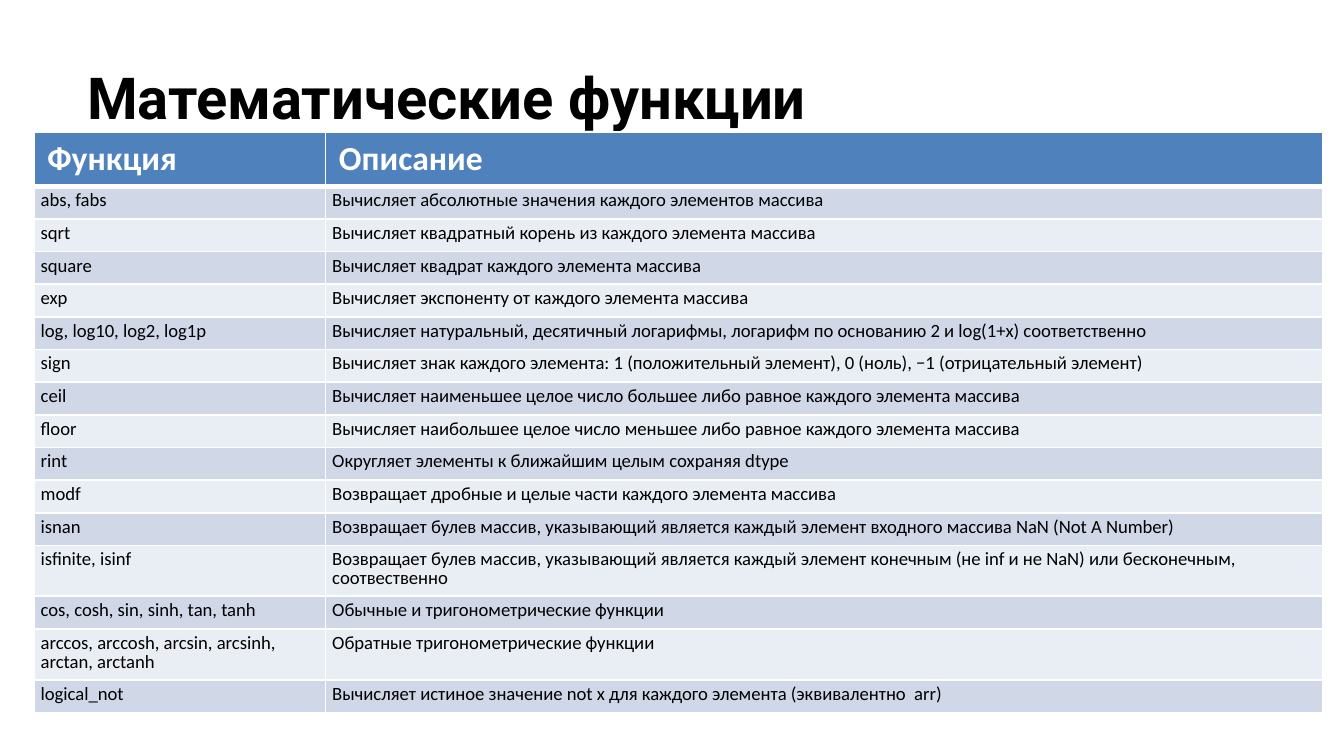
import dataclasses
import typing

import lxml.etree
import pptx
import pptx.dml.color
import pptx.enum.text
import pptx.oxml.ns
import pptx.util

Pt = pptx.util.Pt


@dataclasses.dataclass(frozen=True)
class Theme:
    title_font: str = "Roboto"
    table_font: str = "Calibri"
    title_size: float = 31
    header_size: float = 18
    body_size: float = 10
    ink: str = "000000"
    white: str = "FFFFFF"
    header_fill: str = "4F81BD"
    band_fills: tuple[str, str] = ("D0D8E8", "E9EDF4")
    thin_border: float = 1
    thick_border: float = 3


class FunctionRow(typing.NamedTuple):
    name: str
    description: str


class CellStyle(typing.NamedTuple):
    fill: str
    color: str
    size: float
    bold: bool
    top: float
    bottom: float
    inset: float | None = None
    line_spacing: float | None = None


THEME = Theme()
TITLE = "Математические функции"
HEADER = FunctionRow("Функция", "Описание")
FUNCTIONS = [
    FunctionRow("abs, fabs", "Вычисляет абсолютные значения каждого элементов массива"),
    FunctionRow("sqrt", "Вычисляет квадратный корень из каждого элемента массива"),
    FunctionRow("square", "Вычисляет квадрат каждого элемента массива"),
    FunctionRow("exp", "Вычисляет экспоненту от каждого элемента массива"),
    FunctionRow("log, log10, log2, log1p",
                "Вычисляет натуральный, десятичный логарифмы, логарифм по основанию 2 и log(1+x) соответственно"),
    FunctionRow("sign",
                "Вычисляет знак каждого элемента: 1 (положительный элемент), 0 (ноль), −1 (отрицательный элемент)"),
    FunctionRow("ceil", "Вычисляет наименьшее целое число большее либо равное каждого элемента массива"),
    FunctionRow("floor", "Вычисляет наибольшее целое число меньшее либо равное каждого элемента массива"),
    FunctionRow("rint", "Округляет элементы к ближайшим целым сохраняя dtype"),
    FunctionRow("modf", "Возвращает дробные и целые части каждого элемента массива"),
    FunctionRow("isnan",
                "Возвращает булев массив, указывающий является каждый элемент входного массива NaN (Not A Number)"),
    FunctionRow("isfinite, isinf",
                "Возвращает булев массив, указывающий является каждый элемент конечным "
                "(не inf и не NaN) или бесконечным, соотвественно"),
    FunctionRow("cos, cosh, sin, sinh, tan, tanh", "Обычные и тригонометрические функции"),
    FunctionRow("arccos, arccosh, arcsin, arcsinh,\narctan, arctanh", "Обратные тригонометрические функции"),
    FunctionRow("logical_not", "Вычисляет истиное значение not x для каждого элемента (эквивалентно  arr)"),
]
COLUMN_WIDTHS = (156.2, 534)
HEADER_HEIGHT = 29.2
ROW_HEIGHT = 17.5


def add_span(para, text: str, font: str, size: float, color: str, bold: bool) -> None:
    span = para.add_run()
    span.text = text
    span.font.name = font
    span.font.size = Pt(size)
    span.font.bold = bold
    span.font.color.rgb = pptx.dml.color.RGBColor.from_string(color)


def add_title(page) -> None:
    box = page.shapes.title
    box.left, box.top, box.width, box.height = Pt(39.6), Pt(25.9), Pt(671), Pt(86.4)
    frame = box.text_frame
    frame.word_wrap = True
    frame.auto_size = pptx.enum.text.MSO_AUTO_SIZE.NONE
    frame.vertical_anchor = pptx.enum.text.MSO_ANCHOR.TOP
    frame.margin_left = frame.margin_right = frame.margin_top = frame.margin_bottom = Pt(7.2)
    para = frame.paragraphs[0]
    para.alignment = pptx.enum.text.PP_ALIGN.LEFT
    add_span(para, TITLE, THEME.title_font, THEME.title_size, THEME.ink, True)


def set_borders(cell, top: float, bottom: float) -> None:
    qn = pptx.oxml.ns.qn
    properties = cell._tc.get_or_add_tcPr()
    widths = {"L": THEME.thin_border, "R": THEME.thin_border, "T": top, "B": bottom}
    for side, width in widths.items():
        line = lxml.etree.SubElement(properties, qn(f"a:ln{side}"), w=str(int(Pt(width))))
        fill = lxml.etree.SubElement(line, qn("a:solidFill"))
        lxml.etree.SubElement(fill, qn("a:srgbClr"), val=THEME.white)


def fill_cell(cell, text: str, style: CellStyle) -> None:
    set_borders(cell, style.top, style.bottom)
    cell.fill.solid()
    cell.fill.fore_color.rgb = pptx.dml.color.RGBColor.from_string(style.fill)
    if style.inset is not None:
        cell.margin_left = cell.margin_right = cell.margin_top = cell.margin_bottom = Pt(style.inset)
    para = cell.text_frame.paragraphs[0]
    if style.line_spacing is not None:
        para.line_spacing = Pt(style.line_spacing)
    for index, line in enumerate(text.split("\n")):
        if index:
            para.add_line_break()
        add_span(para, line, THEME.table_font, style.size, style.color, style.bold)


def row_style(index: int) -> CellStyle:
    if index == 0:
        return CellStyle(THEME.header_fill, THEME.white, THEME.header_size, True,
                         THEME.thin_border, THEME.thick_border)
    top = THEME.thick_border if index == 1 else THEME.thin_border
    return CellStyle(THEME.band_fills[(index - 1) % 2], THEME.ink, THEME.body_size, False,
                     top, THEME.thin_border, inset=3.6, line_spacing=10)


def add_function_table(page) -> None:
    rows = [HEADER, *FUNCTIONS]
    height = HEADER_HEIGHT + ROW_HEIGHT * len(FUNCTIONS)
    table = page.shapes.add_table(len(rows), len(COLUMN_WIDTHS), Pt(18.2), Pt(70.6),
                                  Pt(sum(COLUMN_WIDTHS)), Pt(height)).table
    for column, width in zip(table.columns, COLUMN_WIDTHS):
        column.width = Pt(width)
    for index, row in enumerate(rows):
        table.rows[index].height = Pt(ROW_HEIGHT if index else HEADER_HEIGHT)
        for column_index, text in enumerate(row):
            fill_cell(table.cell(index, column_index), text, row_style(index))


def main() -> None:
    deck = pptx.Presentation()
    deck.slide_width, deck.slide_height = Pt(720), Pt(405)
    page = deck.slides.add_slide(deck.slide_layouts[5])
    add_title(page)
    add_function_table(page)
    deck.save("out.pptx")


if __name__ == "__main__":
    main()
